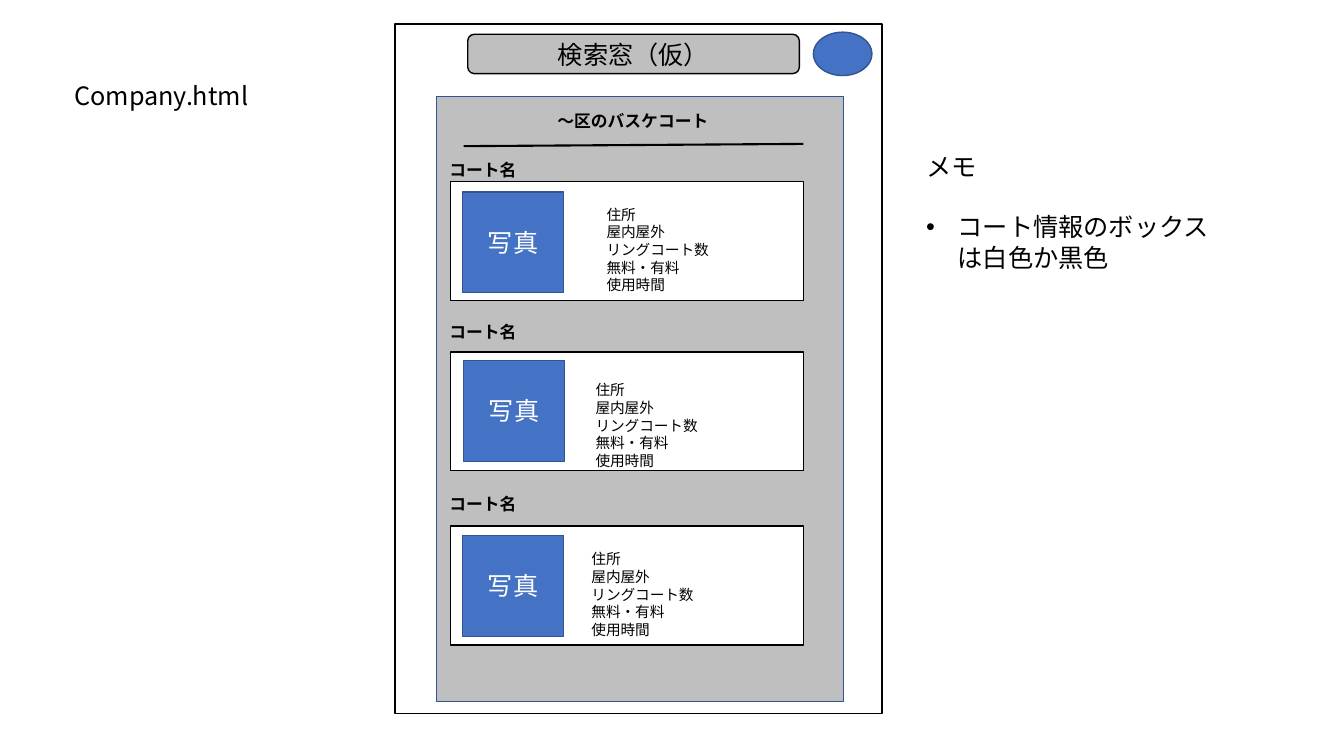
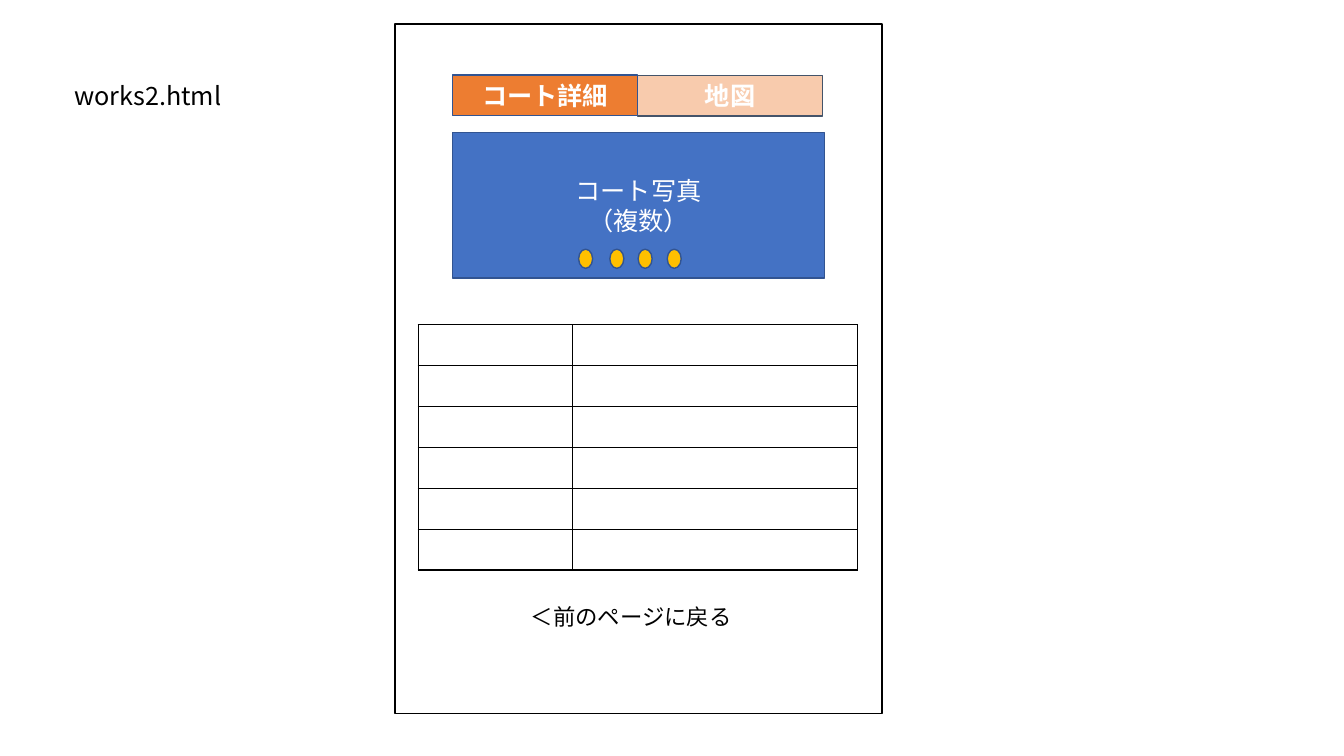
from lxml.etree import SubElement
from pptx import Presentation
from pptx.dml.color import RGBColor
from pptx.enum.shapes import MSO_CONNECTOR, MSO_SHAPE
from pptx.enum.text import MSO_ANCHOR, MSO_AUTO_SIZE, PP_ALIGN
from pptx.oxml.ns import qn
from pptx.util import Pt

# Shared style
FONT = "Noto Sans CJK JP"
BLACK, WHITE, GRAY = "000000", "FFFFFF", "BFBFBF"
BLUE, NAVY, SLATE = "4472C4", "325491", "44546A"
ORANGE, PEACH, GOLD = "ED7D31", "F8CBAD", "FFC000"
LINE_HEIGHT = 1.2

COURT_INFO = ["住所", "屋内屋外", "リングコート数", "無料・有料", "使用時間"]
# Card top, name top, photo left and top, info left and top
COURTS = [
    (129.6, 110.9, 330.5, 137.2, 426.2, 143.3),
    (251.3, 226.1, 331.2, 257.5, 418.3, 268.6),
    (375.8, 349.2, 330.5, 382.5, 415.4, 389.5),
]
DOT_LEFTS = [413.3, 435.6, 455.8, 476.6]


def color(hex_string):
    return RGBColor.from_string(hex_string)


def add_paragraphs(frame, lines, size, font_color, bold=False, align=PP_ALIGN.LEFT):
    for index, line in enumerate(lines):
        paragraph = frame.paragraphs[0] if index == 0 else frame.add_paragraph()
        paragraph.alignment = align
        paragraph.line_spacing = Pt(size * LINE_HEIGHT)
        run = paragraph.add_run()
        run.text = line
        run.font.name = FONT
        run.font.size = Pt(size)
        run.font.bold = bold
        run.font.color.rgb = color(font_color)
        # East Asian text needs its own typeface entry
        SubElement(run.font._element, qn("a:ea"), typeface=FONT)


def add_box(slide, left, top, width, height, fill, line, lines=(), font_color=WHITE,
            bold=False, kind=MSO_SHAPE.RECTANGLE):
    shape = slide.shapes.add_shape(kind, Pt(left), Pt(top), Pt(width), Pt(height))
    shape.shadow.inherit = False
    shape.fill.solid()
    shape.fill.fore_color.rgb = color(fill)
    shape.line.color.rgb = color(line)
    shape.line.width = Pt(1)
    shape.text_frame.vertical_anchor = MSO_ANCHOR.MIDDLE
    add_paragraphs(shape.text_frame, lines, 18, font_color, bold, PP_ALIGN.CENTER)


def add_text(slide, left, top, width, height, lines, size=18, bold=False, wrap=True):
    text_box = slide.shapes.add_textbox(Pt(left), Pt(top), Pt(width), Pt(height))
    frame = text_box.text_frame
    frame.word_wrap = wrap
    frame.auto_size = MSO_AUTO_SIZE.SHAPE_TO_FIT_TEXT
    add_paragraphs(frame, lines, size, BLACK, bold)
    return frame


def add_bullet(paragraph, indent):
    properties = paragraph._p.get_or_add_pPr()
    properties.set("marL", str(Pt(indent)))
    properties.set("indent", str(-Pt(indent)))
    SubElement(properties, qn("a:buFont"), typeface="Arial")
    SubElement(properties, qn("a:buChar"), char="•")


def add_rule(slide, left, top, right, bottom):
    connector = slide.shapes.add_connector(
        MSO_CONNECTOR.STRAIGHT, Pt(left), Pt(top), Pt(right), Pt(bottom))
    connector.line.color.rgb = color(BLACK)
    connector.line.width = Pt(1.5)
    SubElement(connector._element.spPr, qn("a:effectLst"))


def add_borders(cell):
    properties = cell._tc.get_or_add_tcPr()
    for side in ("lnL", "lnR", "lnT", "lnB"):
        border = SubElement(properties, qn(f"a:{side}"), w=str(Pt(1)))
        SubElement(SubElement(border, qn("a:solidFill")), qn("a:srgbClr"), val=BLACK)


def add_empty_table(slide, left, top, column_widths, row_count, row_height):
    table = slide.shapes.add_table(
        row_count, len(column_widths), Pt(left), Pt(top),
        Pt(sum(column_widths)), Pt(row_count * row_height)).table
    table.first_row = table.horz_banding = False
    for column, width in zip(table.columns, column_widths):
        column.width = Pt(width)
    for row in table.rows:
        row.height = Pt(row_height)
        for cell in row.cells:
            cell.margin_top = cell.margin_bottom = 0
            add_borders(cell)
            cell.fill.solid()
            cell.fill.fore_color.rgb = color(WHITE)


def add_page(presentation, file_name):
    """Start a slide with the page frame and its file name."""
    slide = presentation.slides.add_slide(presentation.slide_layouts[6])
    add_box(slide, 282.2, 17.3, 347.8, 492.5, WHITE, BLACK)
    add_text(slide, 46.1, 54, 161.3, 28.8, [file_name])
    return slide


def add_court(slide, card_top, name_top, photo_left, photo_top, info_left, info_top):
    add_box(slide, 321.8, card_top, 252, 85, WHITE, BLACK)
    add_text(slide, 313.9, name_top, 63.4, 21.6, ["コート名"], 12, bold=True, wrap=False)
    add_box(slide, photo_left, photo_top, 72, 72, BLUE, NAVY, ["写真"])
    add_text(slide, info_left, info_top, 123.1, 70.6, COURT_INFO, 10.5)


def build_court_list(presentation):
    slide = add_page(presentation, "Company.html")

    # Search bar and icon
    add_box(slide, 334.1, 24.5, 236.9, 28.1, GRAY, BLACK, ["検索窓（仮）"], BLACK,
            kind=MSO_SHAPE.ROUNDED_RECTANGLE)
    add_box(slide, 581, 23, 41.8, 31, BLUE, NAVY, kind=MSO_SHAPE.OVAL)

    # Court list
    add_box(slide, 311.8, 69.1, 290.9, 432, GRAY, NAVY)
    add_text(slide, 391, 75.6, 123.8, 21.6, ["〜区のバスケコート"], 12, bold=True, wrap=False)
    add_rule(slide, 331.2, 104.4, 573.8, 102.8)
    for court in COURTS:
        add_court(slide, *court)

    # Memo
    memo = add_text(slide, 654.5, 104.4, 226.8, 138.2,
                    ["メモ", "コート情報のボックスは白色か黒色"])
    note = memo.paragraphs[1]
    note.space_before = Pt(18 * LINE_HEIGHT)
    add_bullet(note, 22.5)


def build_court_detail(presentation):
    slide = add_page(presentation, "works2.html")

    # Tabs
    add_box(slide, 455.4, 54, 132.2, 29, PEACH, SLATE, ["地図"], bold=True)
    add_box(slide, 323.2, 53.6, 132.2, 29, ORANGE, NAVY, ["コート詳細"], bold=True)

    # Photo carousel
    add_box(slide, 323.2, 94.5, 265.7, 104.2, BLUE, NAVY, ["コート写真", "（複数）"])
    for left in DOT_LEFTS:
        add_box(slide, left, 178, 10, 13.7, GOLD, NAVY, kind=MSO_SHAPE.OVAL)

    # Detail table and back link
    add_empty_table(slide, 298.8, 232, [110.2, 203.6], 6, 29.2)
    add_text(slide, 372.2, 427, 177.8, 26.6, ["＜前のページに戻る"], 16)


def main():
    presentation = Presentation()
    presentation.slide_width, presentation.slide_height = Pt(960), Pt(540)
    build_court_list(presentation)
    build_court_detail(presentation)
    presentation.save("out.pptx")


if __name__ == "__main__":
    main()
